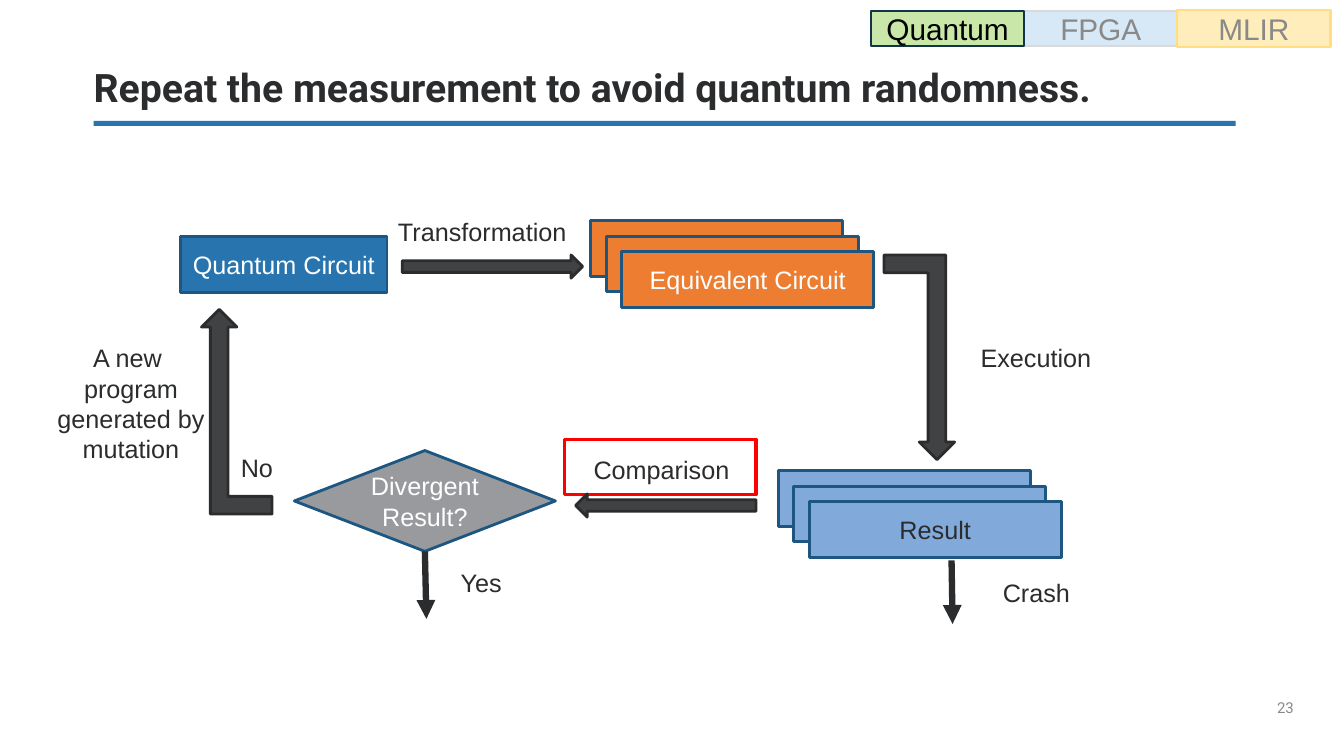
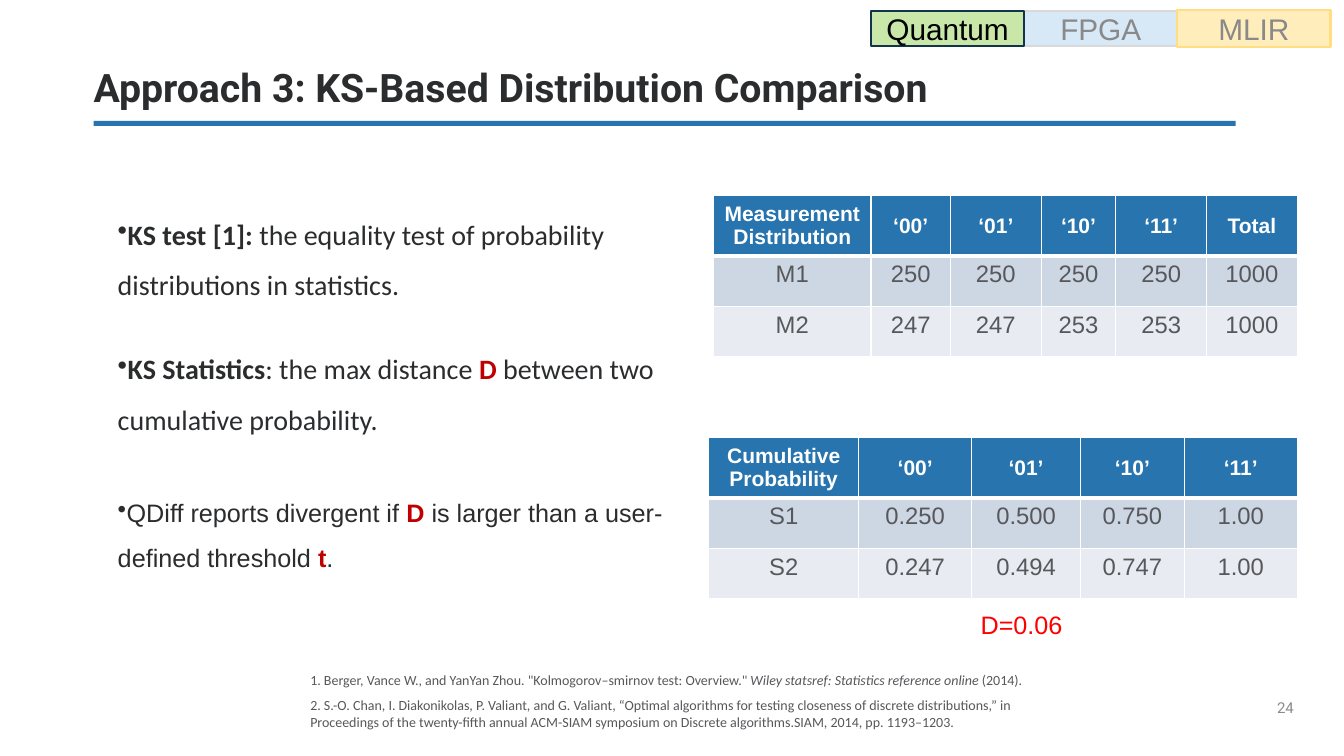
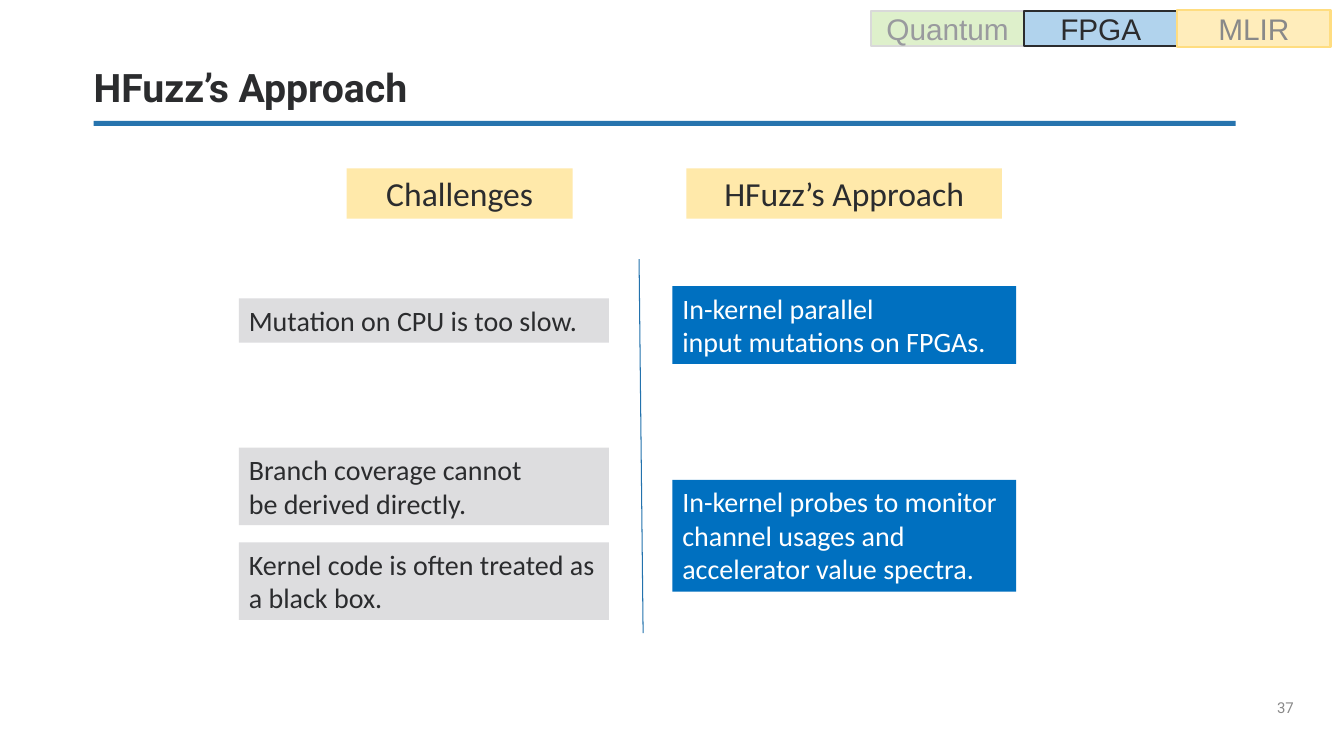
from lxml.etree import SubElement
from pptx import Presentation
from pptx.dml.color import RGBColor
from pptx.enum.shapes import MSO_CONNECTOR, MSO_SHAPE
from pptx.enum.text import MSO_ANCHOR, PP_ALIGN
from pptx.oxml.ns import qn
from pptx.util import Inches, Pt

GRID = 0.1
COLUMNS, ROWS = 133.33, 75
INK, BLUE, EDGE, WHITE = "2B2C2E", "2774AE", "1D5681", "FFFFFF"
ORANGE, SKY, STEEL, CHARCOAL = "ED7D31", "81AADA", "999A9E", "414244"
CREAM, SILVER, AZURE = "FFE9AA", "DDDDDF", "0070C0"
MUTED, SLATE, CRIMSON, RED = "898989", "57585B", "C00000", "FF0000"
BODY_FILLS = ["CDD6E3", "E8EBF2"]
TABS = ["Quantum", "FPGA", "MLIR"]
ACTIVE_TABS = {
    "Quantum": ("C8E7A8", 100, "11334C", "000000"),
    "FPGA": ("9EC9E9", 80, INK, INK),
}
IDLE_TABS = {
    "Quantum": ("C8E7A8", 59, "D9D9D9", STEEL),
    "FPGA": ("CEE4F4", 80, "D9D9D9", MUTED),
    "MLIR": (CREAM, 80, "FFDD80", MUTED),
}


def color(hex_string):
    return RGBColor.from_string(hex_string)


def units(*counts):
    return [Inches(count * GRID) for count in counts]


def style(font, name=None, size=None, ink=None, bold=None, italic=None):
    if name:
        font.name = name
    if size:
        font.size = Pt(size)
    if ink:
        font.color.rgb = color(ink)
    if bold is not None:
        font.bold = bold
    if italic is not None:
        font.italic = italic


MARKS = {
    "plain": {},
    "strong": {"bold": True},
    "accent": {"bold": True, "ink": CRIMSON},
    "title": {"italic": True},
}


def fill_paragraph(paragraph, content, **look):
    if isinstance(content, str):
        paragraph.text = content
    else:
        for text, mark in content:
            run = paragraph.add_run()
            run.text = text
            style(run.font, **MARKS[mark])
    style(paragraph.font, **look)


def write(shape, content, align=PP_ALIGN.LEFT, anchor=MSO_ANCHOR.TOP, **look):
    frame = shape.text_frame
    frame.word_wrap = True
    frame.vertical_anchor = anchor
    paragraph = frame.paragraphs[0]
    paragraph.alignment = align
    fill_paragraph(paragraph, content, **look)
    return paragraph


def add_text(slide, box, content, name="Arial", size=18, ink=INK, **options):
    shape = slide.shapes.add_textbox(*units(*box))
    write(shape, content, name=name, size=size, ink=ink, **options)
    return shape


def add_block(slide, kind, box, fill=None, line=None, width=2, opacity=100):
    shape = slide.shapes.add_shape(kind, *units(*box))
    shape.shadow.inherit = False
    if fill:
        shape.fill.solid()
        shape.fill.fore_color.rgb = color(fill)
        if opacity < 100:
            tint = shape.element.spPr.find(qn("a:solidFill"))[0]
            SubElement(tint, qn("a:alpha"), val=str(opacity * 1000))
    else:
        shape.fill.background()
    if line:
        shape.line.color.rgb = color(line)
        shape.line.width = Pt(width)
    else:
        shape.line.fill.background()
    return shape


def add_label_block(slide, kind, box, text, ink=WHITE, size=18, **look):
    shape = add_block(slide, kind, box, **look)
    write(shape, text, PP_ALIGN.CENTER, MSO_ANCHOR.MIDDLE, name="Arial", size=size, ink=ink)
    return shape


def add_note(slide, box, text, fill, ink=INK, size=20, align=PP_ALIGN.LEFT):
    shape = add_block(slide, MSO_SHAPE.RECTANGLE, box, fill)
    write(shape, text, align, name="Calibri", size=size, ink=ink)


def add_stack(slide, left, top, text, fill, ink):
    for layer in range(3):
        box = (left + 1.54 * layer, top + 1.54 * layer, 25, 5.5)
        shape = add_block(slide, MSO_SHAPE.RECTANGLE, box, fill, EDGE)
    write(shape, text, PP_ALIGN.CENTER, MSO_ANCHOR.MIDDLE, name="Arial", size=18, ink=ink)


def add_block_arrow(slide, kind, box, rotation=0, mirrored=False):
    shape = add_block(slide, kind, box, CHARCOAL, INK)
    shape.rotation = rotation
    if mirrored:
        shape.element.spPr.find(qn("a:xfrm")).set("flipH", "1")


def add_line(slide, start, end, ink, width, arrow=False):
    connector = slide.shapes.add_connector(MSO_CONNECTOR.STRAIGHT, *units(*start, *end))
    connector.line.color.rgb = color(ink)
    connector.line.width = Pt(width)
    properties = connector.element.spPr
    if arrow:
        SubElement(properties.find(qn("a:ln")), qn("a:tailEnd"), type="triangle")
    SubElement(properties, qn("a:effectLst"))
    return connector


def add_borders(cell, bottom):
    properties = cell._tc.get_or_add_tcPr()
    for side, width in (("L", 1), ("R", 1), ("T", 1), ("B", bottom)):
        border = SubElement(properties, qn(f"a:ln{side}"), w=str(Pt(width)))
        SubElement(SubElement(border, qn("a:solidFill")), qn("a:srgbClr"), val=WHITE)


def add_data_table(slide, left, top, widths, rows):
    heights = [6] + [5] * (len(rows) - 1)
    box = units(left, top, sum(widths), sum(heights))
    table = slide.shapes.add_table(len(rows), len(widths), *box).table
    for column, width in zip(table.columns, units(*widths)):
        column.width = width
    for index, (values, height) in enumerate(zip(rows, units(*heights))):
        table.rows[index].height = height
        header = index == 0
        for position, value in enumerate(values):
            cell = table.cell(index, position)
            add_borders(cell, 3 if header else 1)
            cell.fill.solid()
            cell.fill.fore_color.rgb = color(BLUE if header else BODY_FILLS[index - 1])
            cell.vertical_anchor = MSO_ANCHOR.MIDDLE if header else MSO_ANCHOR.TOP
            cell.text = value
            for paragraph in cell.text_frame.paragraphs:
                paragraph.alignment = PP_ALIGN.CENTER
                style(paragraph.font, "Arial", 15 if header else 17,
                      WHITE if header else SLATE, header)


def add_bullets(slide, box, items):
    frame = slide.shapes.add_textbox(*units(*box)).text_frame
    frame.word_wrap = True
    for index, (name, size, gap, runs) in enumerate(items):
        paragraph = frame.add_paragraph() if index else frame.paragraphs[0]
        properties = paragraph._p.get_or_add_pPr()
        properties.set("marL", "0")
        properties.set("indent", "0")
        SubElement(properties, qn("a:buChar"), char="•")
        paragraph.line_spacing = 1.5
        if gap:
            paragraph.space_before = Pt(gap)
        fill_paragraph(paragraph, runs, name=name, size=size, ink=INK)


def add_tabs(slide, active):
    for tab in sorted(TABS, key=lambda name: (name == "MLIR", name == active)):
        fill, opacity, line, ink = (ACTIVE_TABS if tab == active else IDLE_TABS)[tab]
        top, height = (1, 3.7) if tab == "MLIR" else (1.1, 3.5)
        box = (86.4 + 15.2 * TABS.index(tab), top, 15.2, height)
        add_label_block(slide, MSO_SHAPE.RECTANGLE, box, tab, ink, 21.3,
                        fill=fill, line=line, width=1.5, opacity=opacity)


def start_slide(presentation, title, number, active):
    slide = presentation.slides.add_slide(presentation.slide_layouts[6])
    add_block(slide, MSO_SHAPE.RECTANGLE, (9.3, 12, 113.3, 0.5), BLUE)
    heading = slide.shapes.add_textbox(*units(9.3, 6.8, 113.3, 4.2))
    page = slide.shapes.add_textbox(*units(126.7, 69.3, 6.6, 4.6))
    for shape in (heading, page):
        frame = shape.text_frame
        frame.margin_left = frame.margin_top = frame.margin_right = frame.margin_bottom = 0
    paragraph = write(heading, title, anchor=MSO_ANCHOR.BOTTOM,
                      name="Roboto", size=28, ink=INK, bold=True)
    paragraph.line_spacing = 0.9
    write(page, str(number), name="Roboto", size=10.7, ink=MUTED)
    add_tabs(slide, active)
    return slide


def build_measurement_loop(presentation):
    slide = start_slide(
        presentation, "Repeat the measurement to avoid quantum randomness.", 23, "Quantum")
    add_block(slide, MSO_SHAPE.RECTANGLE, (56, 43.6, 19, 5.5), line=RED, width=2.25)
    add_label_block(slide, MSO_SHAPE.RECTANGLE, (17.9, 23.5, 20.5, 5.5),
                    "Quantum Circuit", fill=BLUE, line=EDGE)
    add_stack(slide, 58.6, 21.9, "Equivalent Circuit", ORANGE, WHITE)
    add_stack(slide, 77.2, 46.7, "Result", SKY, INK)
    decision = add_label_block(slide, MSO_SHAPE.FLOWCHART_DECISION, (29.2, 44.7, 25.9, 10),
                               "Divergent Result?", fill=STEEL, line=EDGE)
    add_block_arrow(slide, MSO_SHAPE.BENT_UP_ARROW, (87.7, 25.3, 7, 20.3), 180, True)
    add_block_arrow(slide, MSO_SHAPE.RIGHT_ARROW, (39.9, 25.3, 17.9, 2.3))
    add_block_arrow(slide, MSO_SHAPE.RIGHT_ARROW, (57.1, 49, 17.9, 2.3), 180)
    add_block_arrow(slide, MSO_SHAPE.BENT_UP_ARROW, (20, 30.7, 7, 20.3), mirrored=True)
    yes_arrow = add_line(slide, (42.15, 54.7), (42.3, 61.4), INK, 4.5, True)
    yes_arrow.begin_connect(decision, 2)
    add_line(slide, (94.4, 55.6), (94.5, 61.9), INK, 4.5, True)
    for left, top, width, text in (
        (38.5, 21, 19.3, "Transformation"),
        (57.9, 44.6, 19.3, "Comparison"),
        (96.3, 33.5, 19.3, "Execution"),
        (44.7, 55.8, 6.9, "Yes"),
        (22.9, 44.4, 6.9, "No"),
        (98.5, 56.8, 9.7, "Crash"),
    ):
        add_text(slide, (left, top, width, 4), text)
    add_text(slide, (3.3, 33.5, 19.4, 13.1), "A new \vprogram generated by mutation",
             align=PP_ALIGN.CENTER)


def build_distribution_comparison(presentation):
    slide = start_slide(
        presentation, "Approach 3: KS-Based Distribution Comparison", 24, "Quantum")
    add_bullets(slide, (10.7, 19.4, 57.3, 39.3), [
        ("Calibri", 20, 0, [
            ("KS test [1]: ", "strong"),
            ("the equality test of probability distributions in statistics.", "plain")]),
        ("Calibri", 20, 24, [
            ("KS Statistics", "strong"), (": the max distance ", "plain"), ("D ", "accent"),
            ("between two cumulative probability.", "plain")]),
        ("Arial", 18, 33, [
            ("QDiff reports divergent if ", "plain"), ("D", "accent"),
            (" is larger than a user-defined threshold ", "plain"), ("t", "accent"),
            (".", "plain")]),
    ])
    add_data_table(slide, 70.8, 19.4, [15.6, 7.9, 9, 7.4, 9, 9], [
        ["Measurement Distribution", "‘00’", "‘01’", "‘10’", "‘11’", "Total"],
        ["M1", "250", "250", "250", "250", "1000"],
        ["M2", "247", "247", "253", "253", "1000"],
    ])
    add_data_table(slide, 70.3, 43.4, [14.9, 11.2, 10.8, 10.3, 11.2], [
        ["Cumulative\nProbability", "‘00’", "‘01’", "‘10’", "‘11’"],
        ["S1", "0.250", "0.500", "0.750", "1.00"],
        ["S2", "0.247", "0.494", "0.747", "1.00"],
    ])
    add_text(slide, (96.3, 60, 11.3, 4), "D=0.06", ink=RED)
    references = add_text(slide, (29.8, 66.1, 75, 6.9), [
        ('1. Berger, Vance W., and YanYan Zhou. "Kolmogorov–smirnov test: Overview." ', "plain"),
        ("Wiley statsref: Statistics reference online", "title"),
        (" (2014).", "plain"),
    ], name="Calibri", size=10, ink=SLATE)
    second = references.text_frame.add_paragraph()
    second.space_before = Pt(5.8)
    fill_paragraph(
        second,
        "2. S.-O. Chan, I. Diakonikolas, P. Valiant, and G. Valiant, “Optimal algorithms for "
        "testing closeness of discrete distributions,” in Proceedings of the twenty-fifth annual "
        "ACM-SIAM symposium on Discrete algorithms.SIAM, 2014, pp. 1193–1203.",
        name="Calibri", size=10, ink=SLATE)


def build_fuzzing_approach(presentation):
    slide = start_slide(presentation, "HFuzz’s Approach", 37, "FPGA")
    for left, width, text in ((34.4, 22.4, "Challenges"), (68.1, 31.3, "HFuzz’s Approach")):
        add_note(slide, (left, 16.7, width, 5), text, CREAM, size=24, align=PP_ALIGN.CENTER)
    for top, height, text in (
        (29.6, 4.4, "Mutation on CPU is too slow."),
        (44.4, 7.7, "Branch coverage cannot\vbe derived directly."),
        (53.8, 7.7, "Kernel code is often treated as a black box."),
    ):
        add_note(slide, (23.7, top, 36.7, height), text, SILVER)
    for top, height, text in (
        (28.4, 7.7, "In-kernel parallel \vinput mutations on FPGAs."),
        (47.6, 11.1, "In-kernel probes to monitor channel usages and accelerator value spectra."),
    ):
        add_note(slide, (66.7, top, 34.1, height), text, AZURE, WHITE)
    add_line(slide, (63.4, 25.7), (63.8, 62.8), "2372AD", 0.75)


def main():
    presentation = Presentation()
    presentation.slide_width, presentation.slide_height = units(COLUMNS, ROWS)
    build_measurement_loop(presentation)
    build_distribution_comparison(presentation)
    build_fuzzing_approach(presentation)
    presentation.save("out.pptx")


if __name__ == "__main__":
    main()
